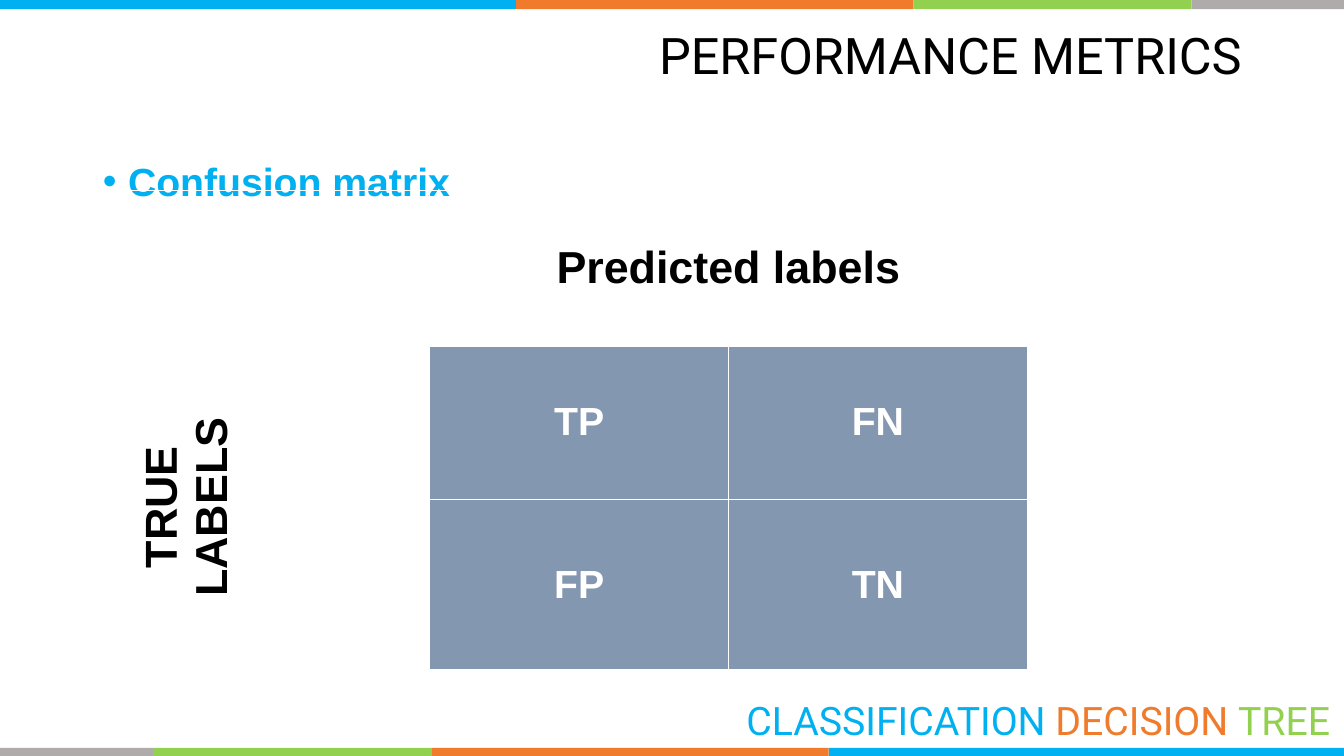
from lxml import etree
from pptx import Presentation
from pptx.dml.color import RGBColor
from pptx.enum.shapes import MSO_SHAPE as Shape
from pptx.enum.text import MSO_ANCHOR as Anchor, MSO_AUTO_SIZE as Fit, PP_ALIGN as Align
from pptx.oxml.ns import qn
from pptx.util import Inches, Pt

HUES = {"blue": "00B0F0", "orange": "F07B2C", "green": "92D050", "gray": "AFABAB",
        "slate": "8497B0", "black": "000000", "white": "FFFFFF"}
BANDS = [("blue", 5.12), ("orange", 3.94), ("green", 2.76), ("gray", 1.52)]


def tint(name):
    return RGBColor.from_string(HUES[name])


def add_run(para, text, size, hue, face="Arial", bold=False):
    run = para.add_run()
    run.text = text
    font = run.font
    font.size, font.name, font.bold = Pt(size), face, bold
    font.color.rgb = tint(hue)


def place(shape, box):
    shape.left, shape.top, shape.width, shape.height = map(Inches, box)


def add_bar(slide, box, bands):
    left, top, _, high = box
    for hue, wide in bands:
        band = slide.shapes.add_shape(Shape.RECTANGLE, *map(Inches, (left, top, wide, high)))
        band.shadow.inherit = False
        band.fill.solid()
        band.fill.fore_color.rgb = tint(hue)
        band.line.fill.background()
        left += wide


def add_footer(slide, box):
    frame = slide.shapes.add_textbox(*map(Inches, box)).text_frame
    frame.word_wrap = True
    para = frame.paragraphs[0]
    para.alignment = Align.RIGHT
    for text, hue in [("CLASSIFICATION ", "blue"), ("DECISION ", "orange"), ("TREE", "green")]:
        add_run(para, text, 28, hue, "Roboto")


def fill_title(slide, box):
    title = slide.shapes.title
    place(title, box)
    frame = title.text_frame
    frame.auto_size = Fit.NONE
    frame.vertical_anchor = Anchor.MIDDLE
    para = frame.paragraphs[0]
    para.alignment = Align.RIGHT
    para.line_spacing = 0.9
    add_run(para, "PERFORMANCE METRICS", 36, "black", "Roboto")


def fill_body(slide, box):
    body = slide.placeholders[1]
    place(body, box)
    frame = body.text_frame
    frame.auto_size = Fit.NONE
    frame.vertical_anchor = Anchor.TOP
    frame.margin_top = Inches(0.42)
    para = frame.paragraphs[0]
    para.line_spacing = 0.9
    para.space_before = Pt(0)
    props = para._p.get_or_add_pPr()
    props.set("marL", str(Inches(0.25)))
    props.set("indent", str(-Inches(0.25)))
    etree.SubElement(props, qn("a:buChar")).set("char", "•")
    add_run(para, "Confusion matrix", 28, "blue", bold=True)


def add_edges(cell, low):
    props = cell._tc.get_or_add_tcPr()
    for spot, side in enumerate("LRTB"):
        line = etree.Element(qn("a:ln" + side))
        line.set("w", str(Pt(low if side == "B" else 1)))
        fill = etree.SubElement(line, qn("a:solidFill"))
        etree.SubElement(fill, qn("a:srgbClr")).set("val", HUES["white"])
        props.insert(spot, line)


def add_matrix(slide, box):
    table = slide.shapes.add_table(3, 3, *map(Inches, box)).table
    table.first_row = table.horz_banding = False
    for col in table.columns:
        col.width = Inches(box[2] / 3)
    for row in table.rows:
        row.height = Inches(box[3] / 3)
    table.cell(0, 1).merge(table.cell(0, 2))
    table.cell(1, 0).merge(table.cell(2, 0))
    texts = [["", "Predicted labels", ""], ["TRUE LABELS", "TP", "FN"], ["", "FP", "TN"]]
    for r, row in enumerate(texts):
        for c, text in enumerate(row):
            cell = table.cell(r, c)
            inner = r > 0 and c > 0
            if inner:
                cell.fill.solid()
                cell.fill.fore_color.rgb = tint("slate")
            else:
                cell.fill.background()
            add_edges(cell, 1 if r else 3)
            cell.vertical_anchor = Anchor.MIDDLE
            if text:
                para = cell.text_frame.paragraphs[0]
                para.alignment = Align.CENTER
                size, hue = (28, "white") if inner else (32, "black")
                add_run(para, text, size, hue, bold=True)
    table.cell(1, 0)._tc.get_or_add_tcPr().set("vert", "vert270")


def main():
    deck = Presentation()
    deck.slide_width, deck.slide_height = Inches(13.33), Inches(7.5)
    slide = deck.slides.add_slide(deck.slide_layouts[1])
    add_bar(slide, (0, -0.01, 13.33, 0.1), BANDS)
    add_bar(slide, (0, 7.42, 13.33, 0.1), BANDS[::-1])
    add_footer(slide, (6.79, 6.86, 6.5, 0.57))
    fill_title(slide, (0.92, 0.13, 11.5, 0.9))
    fill_body(slide, (0.92, 1.19, 11.5, 5.56))
    add_matrix(slide, (1.3, 1.89, 8.89, 4.6))
    deck.save("out.pptx")


if __name__ == "__main__":
    main()
